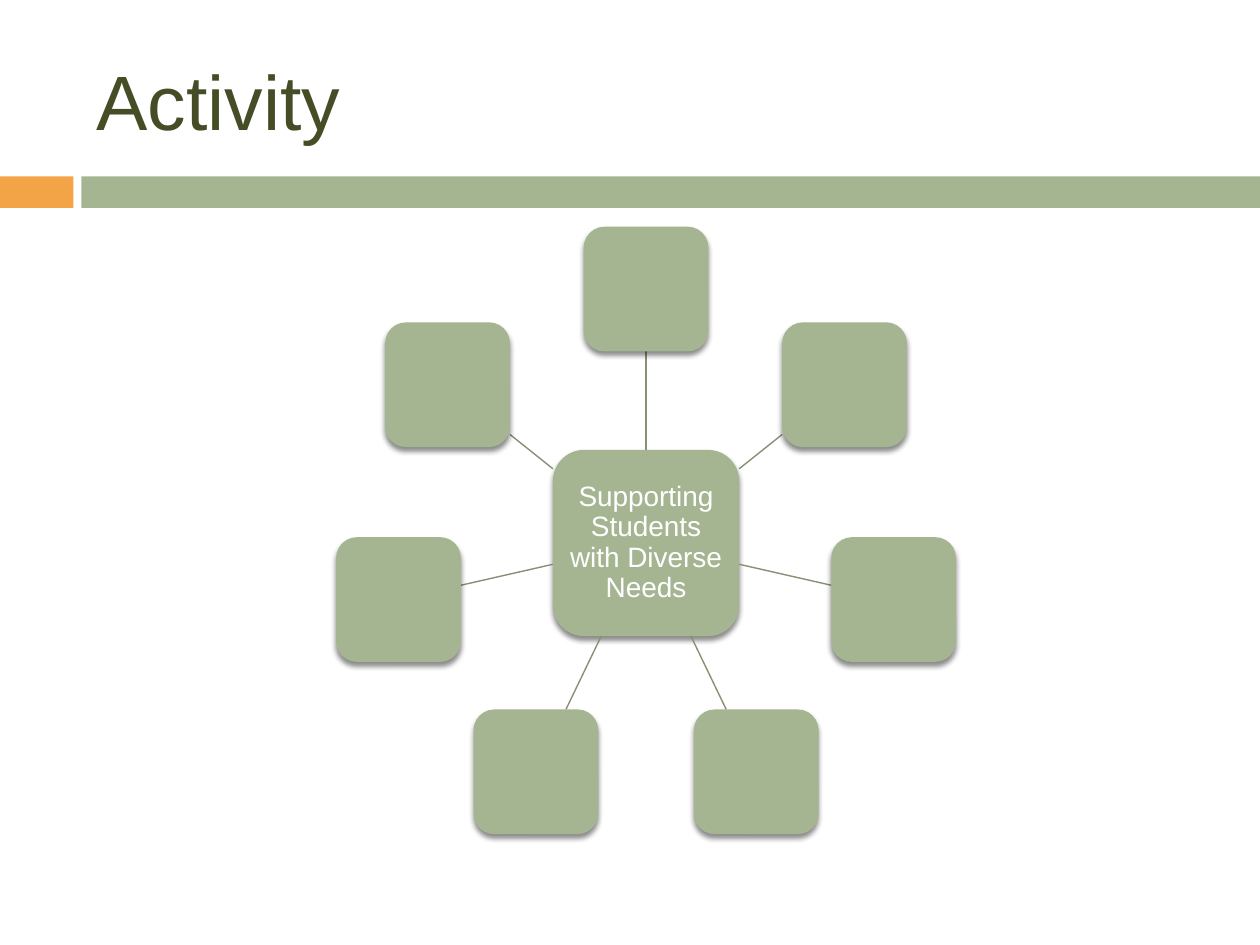
from dataclasses import dataclass
from math import cos, pi, sin

from lxml.etree import SubElement
from pptx import Presentation
from pptx.dml.color import RGBColor
from pptx.enum.shapes import MSO_CONNECTOR as CONN, MSO_SHAPE as SHAPE
from pptx.enum.text import MSO_ANCHOR as ANCHOR, PP_ALIGN as ALIGN
from pptx.oxml.ns import qn
from pptx.util import Pt

GREEN, ORANGE, LINE = "A5B592", "F3A447", "849175"
NODES = 7
RADIUS = 145.1


@dataclass
class Square:
    cx: float
    cy: float
    size: float

    def edge(self, dx: float, dy: float) -> tuple[float, float]:
        reach = self.size / 2 / max(abs(dx), abs(dy))
        return self.cx + dx * reach, self.cy + dy * reach


def rgb(color: str) -> RGBColor:
    return RGBColor.from_string(color)


def add_box(s, kind, x: float, y: float, w: float, h: float, color: str):
    sp = s.shapes.add_shape(kind, Pt(x), Pt(y), Pt(w), Pt(h))
    sp.shadow.inherit = False
    sp.fill.solid()
    sp.fill.fore_color.rgb = rgb(color)
    sp.line.fill.background()
    return sp


def add_shadow(sp) -> None:
    effects = sp.element.spPr.find(qn("a:effectLst"))
    shadow = SubElement(effects, qn("a:outerShdw"), blurRad=str(Pt(3)),
                        dist=str(Pt(2.4)), dir="5400000", rotWithShape="0")
    color = SubElement(shadow, qn("a:srgbClr"), val="000000")
    SubElement(color, qn("a:alpha"), val="45000")


def add_square(s, sq: Square):
    sp = add_box(s, SHAPE.ROUNDED_RECTANGLE, sq.cx - sq.size / 2,
                 sq.cy - sq.size / 2, sq.size, sq.size, GREEN)
    add_shadow(sp)
    return sp


def add_spoke(s, start: tuple[float, float], end: tuple[float, float]) -> None:
    c = s.shapes.add_connector(CONN.STRAIGHT, *map(Pt, start + end))
    c.line.color.rgb = rgb(LINE)
    c.line.width = Pt(0.79)
    SubElement(c.element.spPr, qn("a:effectLst"))


def set_text(tf, text: str, size: float, color: str, align) -> None:
    tf.text = text
    tf.word_wrap = True
    tf.vertical_anchor = ANCHOR.MIDDLE
    p = tf.paragraphs[0]
    p.alignment = align
    font = p.runs[0].font
    font.name, font.size, font.color.rgb = "Arial", Pt(size), rgb(color)


def main() -> None:
    prs = Presentation()
    prs.slide_width, prs.slide_height = Pt(720), Pt(540)
    s = prs.slides.add_slide(prs.slide_layouts[5])

    title = s.shapes.title
    title.left, title.top, title.width, title.height = map(Pt, (48, 18, 642, 78))
    set_text(title.text_frame, "Activity", 44, "444D26", ALIGN.LEFT)

    add_box(s, SHAPE.RECTANGLE, 0, 100.8, 42, 18, ORANGE)
    add_box(s, SHAPE.RECTANGLE, 46.5, 100.8, 673.5, 18, GREEN)

    hub = Square(369.2, 310.3, 106.4)
    tf = add_square(s, hub).text_frame
    tf.margin_left = tf.margin_right = tf.margin_top = tf.margin_bottom = Pt(3)
    set_text(tf, "Supporting Students with Diverse Needs", 16, "FFFFFF", ALIGN.CENTER)
    tf.paragraphs[0].line_spacing = 0.9

    for i in range(NODES):
        angle = 2 * pi * i / NODES
        dx, dy = sin(angle), -cos(angle)
        node = Square(hub.cx + RADIUS * dx, hub.cy + RADIUS * dy, 71.3)
        add_spoke(s, hub.edge(dx, dy), node.edge(-dx, -dy))
        add_square(s, node)

    prs.save("out.pptx")


if __name__ == "__main__":
    main()
